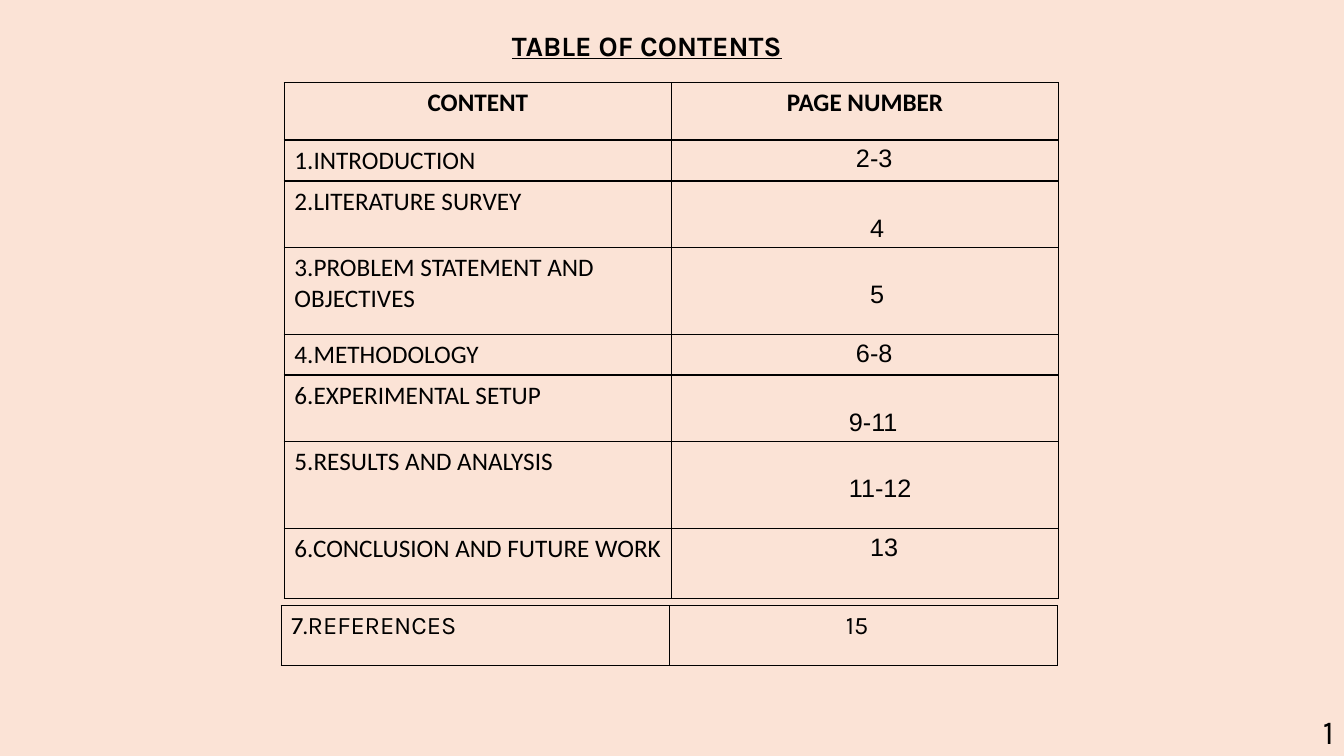
import pptx
import pptx.util
import pptx.dml.color
import pptx.enum.text
import pptx.oxml
import pptx.oxml.ns

Inches = pptx.util.Inches
ALIGN = pptx.enum.text.PP_ALIGN
BLACK = pptx.dml.color.RGBColor(0x00, 0x00, 0x00)
PEACH = pptx.dml.color.RGBColor(0xFB, 0xE3, 0xD6)


def write(frame, text, font="Calibri", size=18, bold=False, underline=False, align=ALIGN.LEFT):
    paragraph = frame.paragraphs[0]
    paragraph.alignment = align
    run = paragraph.add_run()
    run.text = text
    run.font.name = font
    run.font.size = pptx.util.Pt(size)
    run.font.bold = bold
    run.font.underline = underline
    run.font.color.rgb = BLACK


def add_grid(slide, left, top, column_width, heights):
    grid = slide.shapes.add_table(len(heights), 2, Inches(left), Inches(top),
                                  Inches(2 * column_width), Inches(sum(heights))).table
    grid.first_row = grid.horz_banding = False
    for column in grid.columns:
        column.width = Inches(column_width)
    for row, height in zip(grid.rows, heights):
        row.height = Inches(height)
    for cell in grid.iter_cells():
        properties = cell._tc.get_or_add_tcPr()
        for side in ("lnL", "lnR", "lnT", "lnB"):
            properties.append(pptx.oxml.parse_xml(
                f'<a:{side} {pptx.oxml.ns.nsdecls("a")} w="12700"><a:solidFill>'
                f'<a:srgbClr val="{BLACK}"/></a:solidFill></a:{side}>'))
        cell.fill.background()
    return grid


deck = pptx.Presentation()
deck.slide_width, deck.slide_height = Inches(13.33), Inches(7.5)
slide = deck.slides.add_slide(deck.slide_layouts[5])
slide.background.fill.solid()
slide.background.fill.fore_color.rgb = PEACH

# Title
title = slide.shapes.title
title.left, title.top, title.width, title.height = map(Inches, (3.95, 0.23, 4.93, 0.44))
title.text_frame.vertical_anchor = pptx.enum.text.MSO_ANCHOR.TOP
write(title.text_frame, "TABLE OF CONTENTS", font="Karla", size=20, bold=True,
      underline=True, align=ALIGN.CENTER)

# Contents: section, pages, row height, left and top margin of the pages
sections = [
    ("1.INTRODUCTION", "2-3", 0.4, 1.83, 0.05),
    ("2.LITERATURE SURVEY", "4", 0.66, 1.97, 0.33),
    ("3.PROBLEM STATEMENT AND OBJECTIVES", "5", 0.86, 1.97, 0.33),
    ("4.METHODOLOGY", "6-8", 0.4, 1.83, 0.05),
    ("6.EXPERIMENTAL SETUP", "9-11", 0.66, 1.76, 0.33),
    ("5.RESULTS AND ANALYSIS", "11-12", 0.86, 1.76, 0.33),
    ("6.CONCLUSION AND FUTURE WORK", "13", 0.7, 1.97, 0.05),
]
contents = add_grid(slide, 2.82, 0.82, 3.84, [0.57] + [section[2] for section in sections])
for column, heading in enumerate(("CONTENT", "PAGE NUMBER")):
    write(contents.cell(0, column).text_frame, heading, bold=True, align=ALIGN.CENTER)
for row, (section, pages, height, indent, drop) in enumerate(sections, start=1):
    write(contents.cell(row, 0).text_frame, section)
    page_cell = contents.cell(row, 1)
    page_cell.margin_left, page_cell.margin_top = Inches(indent), Inches(drop)
    write(page_cell.text_frame, pages, font="Arial")

# References
references = add_grid(slide, 2.79, 6.01, 3.85, [0.59])
write(references.cell(0, 0).text_frame, "7.REFERENCES", font="Karla")
references.cell(0, 1).margin_left = Inches(1.75)
write(references.cell(0, 1).text_frame, "15", font="Karla")

# Page number in the bottom right corner
page_number = slide.shapes.add_textbox(Inches(12.98), Inches(7.05), Inches(0.25), Inches(0.4)).text_frame
page_number.word_wrap = True
page_number.margin_left = page_number.margin_right = 0
page_number.margin_top = page_number.margin_bottom = 0
write(page_number, "1", font="Karla", size=24, align=ALIGN.RIGHT)

deck.save("out.pptx")
